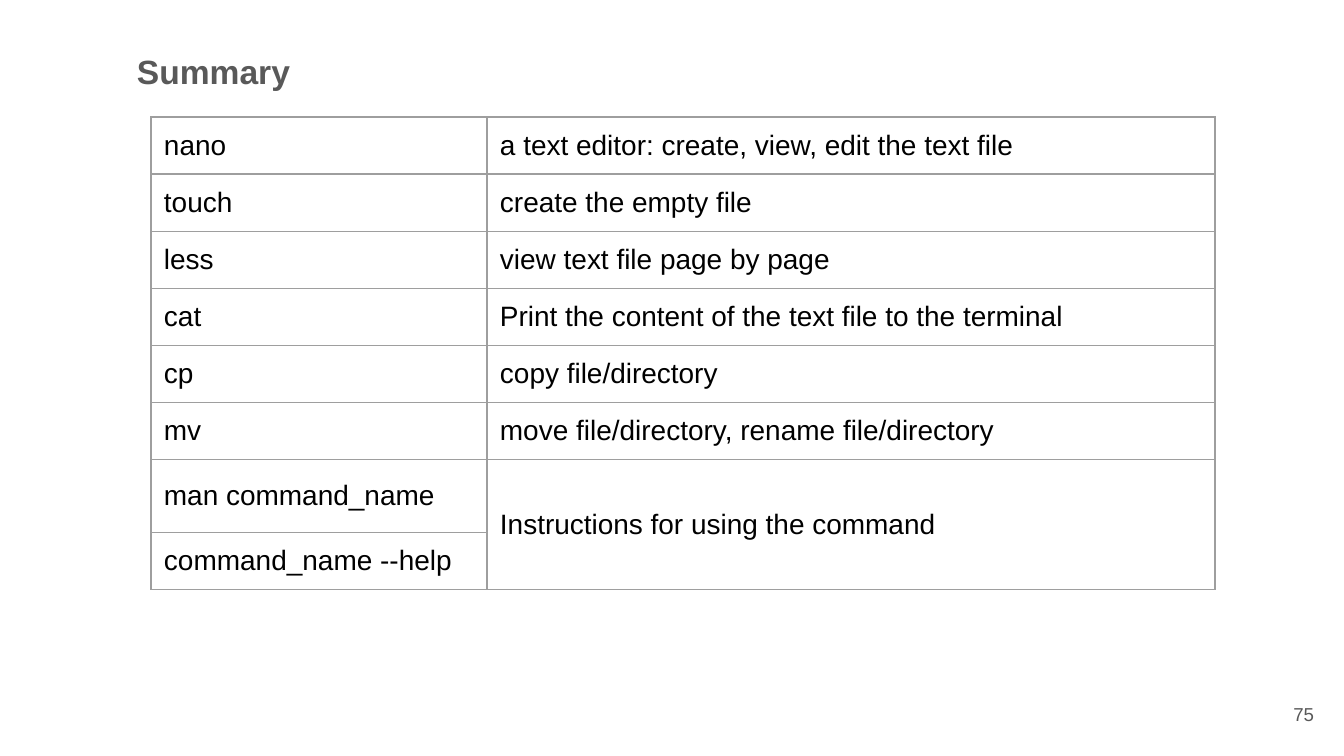
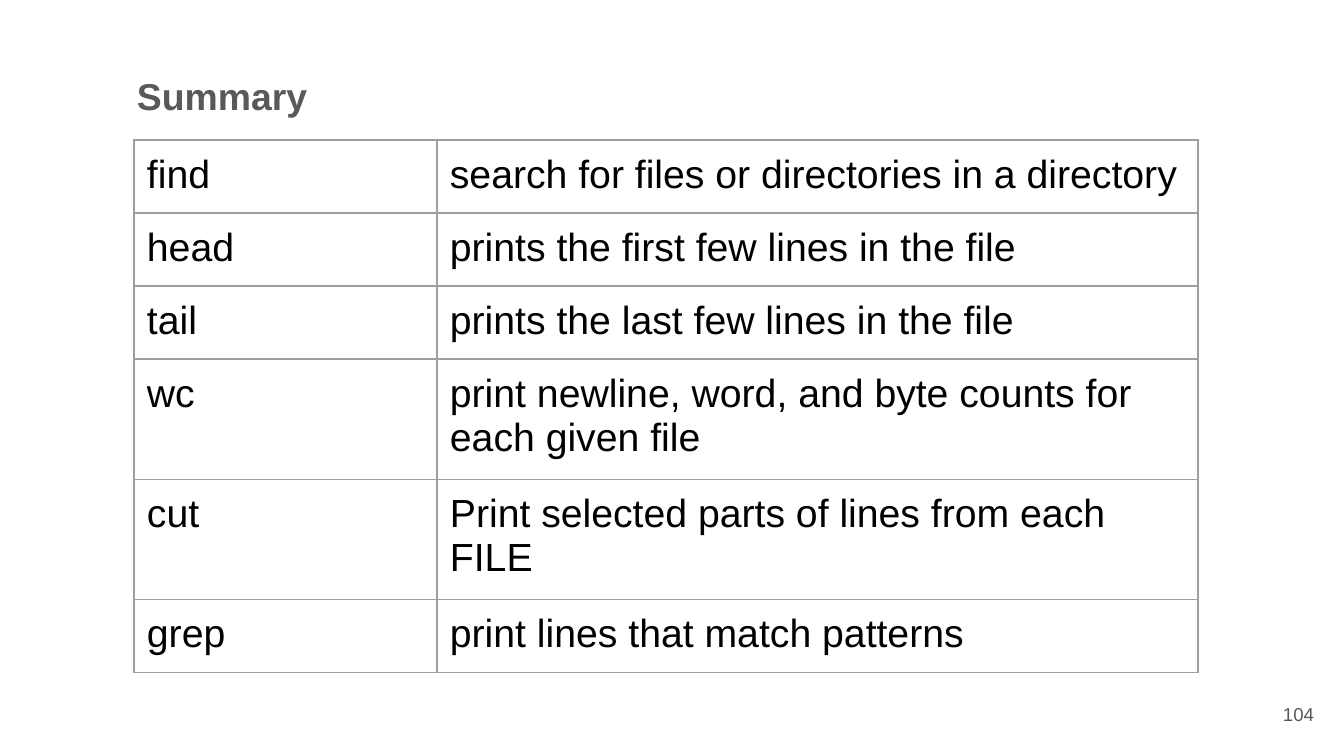
from dataclasses import dataclass

from lxml import etree
from pptx import Presentation
from pptx.dml.color import RGBColor
from pptx.enum.text import MSO_ANCHOR, MSO_AUTO_SIZE, PP_ALIGN
from pptx.oxml.ns import qn
from pptx.util import Pt

TOP, MIDDLE = MSO_ANCHOR.TOP, MSO_ANCHOR.MIDDLE
LEFT, RIGHT = PP_ALIGN.LEFT, PP_ALIGN.RIGHT
GROW, FIXED = MSO_AUTO_SIZE.SHAPE_TO_FIT_TEXT, MSO_AUTO_SIZE.NONE

SLIDE_WIDTH, SLIDE_HEIGHT = 1344, 756
EMU_PER_PX = 9144000 / SLIDE_WIDTH
BLANK_LAYOUT = 6


@dataclass(frozen=True)
class Theme:
    font: str = "Arial"
    background: str = "FFFFFF"
    heading: str = "595959"
    body: str = "000000"
    border: str = "9E9E9E"
    border_width: float = 0.75
    page_number_size: int = 10
    inset: int = 13
    row_height: int = 57


def px(length):
    return round(length * EMU_PER_PX)


def write_text(frame, text, *, font, size, color, bold=False, align=LEFT):
    paragraph = frame.paragraphs[0]
    paragraph.alignment = align
    run = paragraph.add_run()
    run.text = text
    run.font.name = font
    run.font.size = Pt(size)
    run.font.bold = bold
    run.font.color.rgb = RGBColor.from_string(color)


class Deck:
    def __init__(self, theme):
        self.theme = theme
        self.presentation = Presentation()
        self.presentation.slide_width = px(SLIDE_WIDTH)
        self.presentation.slide_height = px(SLIDE_HEIGHT)
        self.slide = None

    def add_slide(self):
        layout = self.presentation.slide_layouts[BLANK_LAYOUT]
        self.slide = self.presentation.slides.add_slide(layout)
        fill = self.slide.background.fill
        fill.solid()
        fill.fore_color.rgb = RGBColor.from_string(self.theme.background)

    def set_margins(self, holder):
        holder.margin_left = holder.margin_right = px(self.theme.inset)
        holder.margin_top = holder.margin_bottom = px(self.theme.inset)

    def text_box(self, text, box, *, anchor=TOP, auto_size=FIXED, **text_format):
        shape = self.slide.shapes.add_textbox(*map(px, box))
        frame = shape.text_frame
        frame.word_wrap = True
        frame.auto_size = auto_size
        frame.vertical_anchor = anchor
        self.set_margins(frame)
        write_text(frame, text, font=self.theme.font,
                   color=self.theme.heading, **text_format)

    def title(self, text, box, size):
        self.text_box(text, box, auto_size=GROW, size=size, bold=True)

    def page_number(self, number):
        self.text_box(str(number), (1246, 685, 81, 58), anchor=MIDDLE,
                      size=self.theme.page_number_size, align=RIGHT)

    def style_cell(self, cell):
        properties = cell._tc.get_or_add_tcPr()
        for side in ("lnL", "lnR", "lnT", "lnB"):
            line = etree.SubElement(properties, qn(f"a:{side}"),
                                    w=str(Pt(self.theme.border_width)))
            fill = etree.SubElement(line, qn("a:solidFill"))
            etree.SubElement(fill, qn("a:srgbClr"), val=self.theme.border)
        cell.fill.background()
        self.set_margins(cell)

    def command_table(self, commands, left, top, widths, size, tall_rows=None):
        tall_rows = tall_rows or {}
        heights = [tall_rows.get(index, self.theme.row_height)
                   for index in range(len(commands))]
        shape = self.slide.shapes.add_table(
            len(commands), len(widths), px(left), px(top),
            px(sum(widths)), px(sum(heights)))
        table = shape.table
        table.first_row = table.horz_banding = False
        for column, width in zip(table.columns, widths):
            column.width = px(width)
        for index, (row, texts) in enumerate(zip(table.rows, commands)):
            row.height = px(heights[index])
            for cell, text in zip(row.cells, texts):
                self.style_cell(cell)
                cell.vertical_anchor = MIDDLE if index in tall_rows else TOP
                if text:
                    write_text(cell.text_frame, text, font=self.theme.font,
                               size=size, color=self.theme.body)
        return table


FILE_COMMANDS = [
    ("nano", "a text editor: create, view, edit the text file"),
    ("touch", "create the empty file"),
    ("less", "view text file page by page"),
    ("cat", "Print the content of the text file to the terminal"),
    ("cp", "copy file/directory"),
    ("mv", "move file/directory, rename file/directory"),
    ("man command_name", "Instructions for using the command"),
    ("command_name --help", None),
]
SEARCH_COMMANDS = [
    ("find", "search for files or directories in a directory"),
    ("head", "prints the first few lines in the file"),
    ("tail", "prints the last few lines in the file"),
    ("wc", "print newline, word, and byte counts for each given file"),
    ("cut", "Print selected parts of lines from each FILE"),
    ("grep", "print lines that match patterns"),
]


def file_summary(deck):
    deck.add_slide()
    deck.page_number(75)
    table = deck.command_table(FILE_COMMANDS, 151, 117, (336, 728), 15,
                               tall_rows={6: 73})
    table.cell(6, 1).merge(table.cell(7, 1))
    deck.title("Summary", (124, 38, 183, 67), 18)


def search_summary(deck):
    deck.add_slide()
    deck.page_number(104)
    deck.command_table(SEARCH_COMMANDS, 134, 140, (303, 761), 21)
    deck.title("Summary", (124, 60, 274, 73), 20)


def main():
    deck = Deck(Theme())
    file_summary(deck)
    search_summary(deck)
    deck.presentation.save("out.pptx")


if __name__ == "__main__":
    main()
